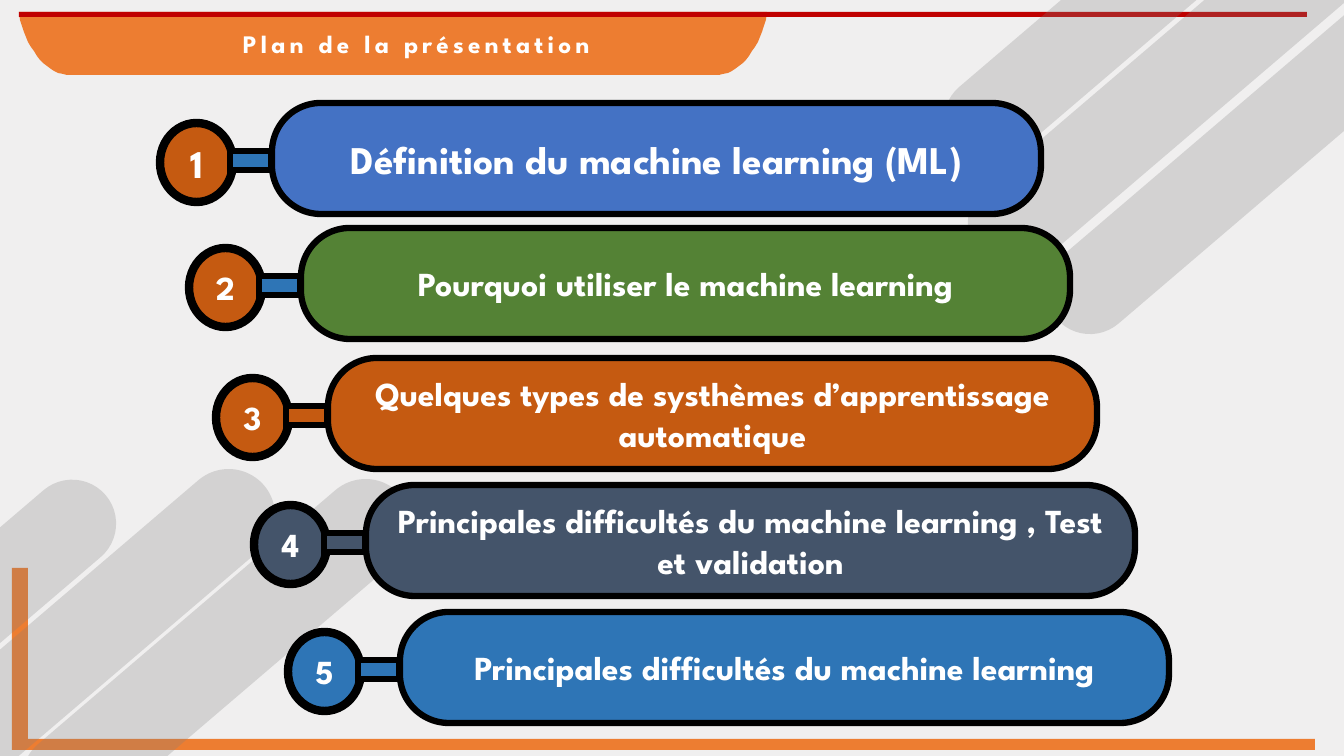
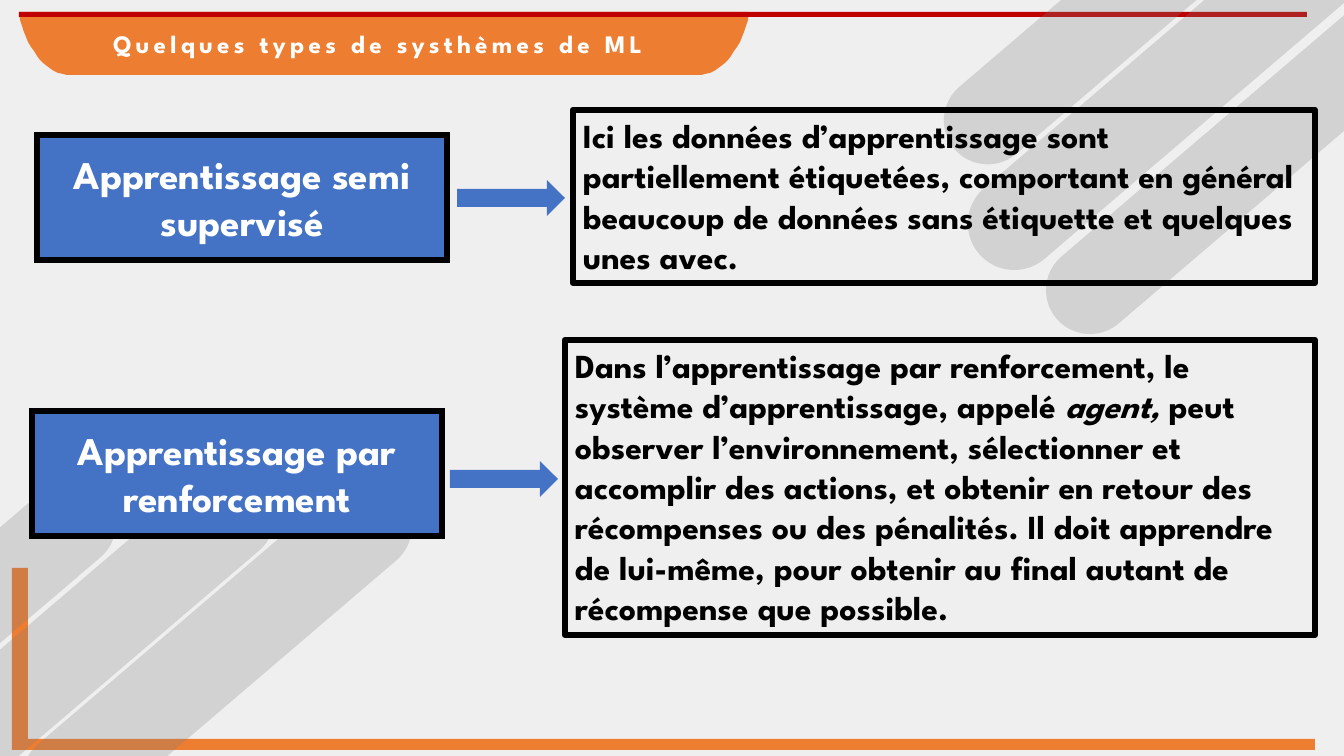
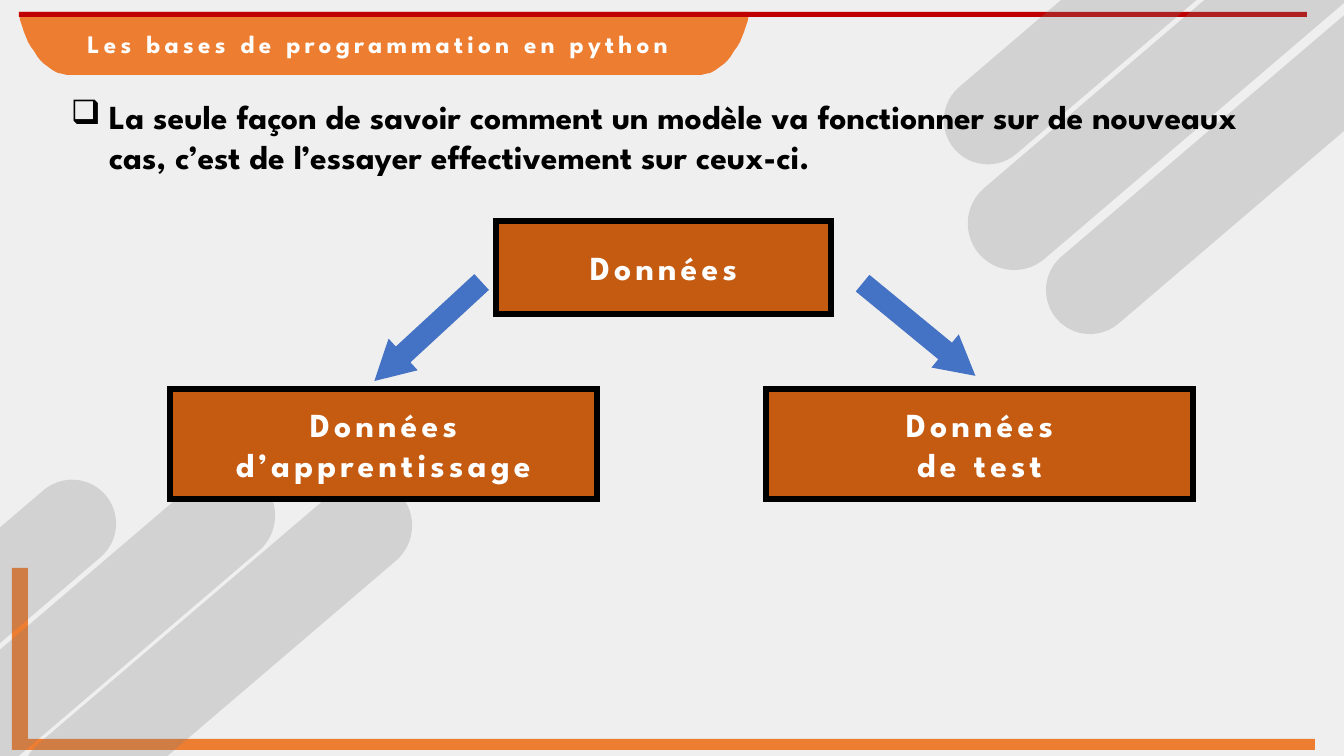
from dataclasses import dataclass

from lxml import etree
from pptx import Presentation
from pptx.dml.color import RGBColor
from pptx.enum.shapes import MSO_SHAPE
from pptx.enum.text import MSO_ANCHOR, PP_ALIGN
from pptx.oxml.ns import qn
from pptx.util import Pt

RECTANGLE = MSO_SHAPE.RECTANGLE
ROUNDED = MSO_SHAPE.ROUNDED_RECTANGLE
OVAL = MSO_SHAPE.OVAL
ARROW = MSO_SHAPE.RIGHT_ARROW
LEFT, CENTER = PP_ALIGN.LEFT, PP_ALIGN.CENTER
TOP, MIDDLE = MSO_ANCHOR.TOP, MSO_ANCHOR.MIDDLE
PIXEL = 914400 / 100.8


@dataclass(frozen=True)
class Theme:
    font: str = "League Spartan"
    background: str = "F0EFEF"
    orange: str = "ED7D31"
    red: str = "C00000"
    grey: str = "808080"
    blue: str = "4472C4"
    sky: str = "2E75B6"
    green: str = "548235"
    rust: str = "C55A11"
    slate: str = "44546A"
    black: str = "000000"
    white: str = "FFFFFF"
    title_size: int = 18
    body_size: int = 24
    large_size: int = 28
    spacing: int = 3
    outline: float = 4.5
    thick_outline: float = 6


theme = Theme()


def add_box(slide, kind, box, fill=None, outline=0, rotation=0, adjustments=()):
    shape = slide.shapes.add_shape(kind, *(round(length * PIXEL) for length in box))
    shape.shadow.inherit = False
    shape.rotation = rotation
    for index, value in enumerate(adjustments):
        shape.adjustments[index] = value
    if fill:
        shape.fill.solid()
        shape.fill.fore_color.rgb = RGBColor.from_string(fill)
    else:
        shape.fill.background()
    if outline:
        shape.line.color.rgb = RGBColor.from_string(theme.black)
        shape.line.width = Pt(outline)
        if fill:
            # Filled boxes have sharp corners, hollow ones soft corners
            etree.SubElement(shape.line._get_or_add_ln(), qn("a:miter"), lim="800000")
    else:
        shape.line.fill.background()
    return shape


def write(shape, lines, size, color=theme.white, alignment=CENTER, anchor=MIDDLE, spacing=0):
    """Fill a shape with paragraphs; text between asterisks is italic."""
    frame = shape.text_frame
    frame.word_wrap = True
    frame.vertical_anchor = anchor
    for number, line in enumerate(lines):
        paragraph = frame.add_paragraph() if number else frame.paragraphs[0]
        paragraph.alignment = alignment
        for position, piece in enumerate(line.split("*")):
            run = paragraph.add_run()
            run.text = piece
            run.font.name = theme.font
            run.font.size = Pt(size)
            run.font.bold = True
            run.font.italic = position % 2 == 1
            run.font.color.rgb = RGBColor.from_string(color)
            if spacing:
                run._r.get_or_add_rPr().set("spc", str(spacing * 100))


presentation = Presentation()
presentation.slide_width = round(1344 * PIXEL)
presentation.slide_height = round(756 * PIXEL)

# Shared decoration: title, right edge of the tab, width of the title
headers = [
    ("Plan de la présentation", 767, 769),
    ("Quelques types de systhèmes de ML", 749, 692),
    ("Les bases de programmation en python", 749, 692),
]
bands = [
    (-206, 566, 354, 88), (-162, 596, 484, 93), (-25, 606, 484, 93),
    (912, -10, 354, 88), (921, 50, 484, 93), (991, 97, 547, 88),
]
frame_corners = [(12, 568), (28, 568), (28, 739), (1315, 739), (1315, 750), (12, 750)]

# Tab corner as a cubic curve, measured from the tab's side
corner_controls = [(1, 20), (9, 52), (29, 75), (52, 75)]
corner = [(0, 12)]
for step in range(17):
    t = step / 16
    weights = [(1 - t) ** 3, 3 * t * (1 - t) ** 2, 3 * t ** 2 * (1 - t), t ** 3]
    corner.append(tuple(
        sum(weight * point[axis] for weight, point in zip(weights, corner_controls))
        for axis in (0, 1)
    ))

slides = []
for title, tab_right, title_width in headers:
    slide = presentation.slides.add_slide(presentation.slide_layouts[6])
    slides.append(slide)
    slide.background.fill.solid()
    slide.background.fill.fore_color.rgb = RGBColor.from_string(theme.background)

    tab = [(19 + x, y) for x, y in corner] + [(tab_right - x, y) for x, y in reversed(corner)]
    for outline_points in (tab, frame_corners):
        builder = slide.shapes.build_freeform(*outline_points[0], scale=PIXEL)
        builder.add_line_segments(outline_points[1:], close=True)
        shape = builder.convert_to_shape()
        shape.shadow.inherit = False
        shape.fill.solid()
        shape.fill.fore_color.rgb = RGBColor.from_string(theme.orange)
        shape.line.fill.background()
    add_box(slide, RECTANGLE, (19, 12, 1288, 5), theme.red)

    for band in bands:
        shape = add_box(slide, ROUNDED, band, theme.grey, rotation=319.5, adjustments=[0.5])
        color = shape._element.spPr.find(".//" + qn("a:srgbClr"))
        etree.SubElement(color, qn("a:alpha"), val="26000")

    title_box = slide.shapes.add_textbox(
        *(round(length * PIXEL) for length in (32, 23, title_width, 40)))
    write(title_box, [title], theme.title_size, anchor=TOP, spacing=theme.spacing)

plan_slide, types_slide, data_slide = slides

# Plan: numbered circle, link and pill on each row
plan_rows = [
    (160, 123, theme.rust, theme.sky, theme.blue, theme.large_size,
     "Définition du machine learning (ML)"),
    (189, 248, theme.rust, theme.sky, theme.green, theme.body_size,
     "Pourquoi utiliser le machine learning"),
    (216, 378, theme.rust, theme.rust, theme.rust, theme.body_size,
     "Quelques types de systhèmes d’apprentissage automatique"),
    (254, 505, theme.slate, theme.slate, theme.slate, theme.body_size,
     "Principales difficultés du machine learning , Test et validation"),
    (288, 632, theme.sky, theme.sky, theme.sky, theme.body_size,
     "Principales difficultés du machine learning"),
]
for number, (left, top, circle_fill, link_fill, pill_fill, size, text) in enumerate(plan_rows, 1):
    circle = add_box(plan_slide, OVAL, (left, top, 73, 79), circle_fill, theme.thick_outline)
    write(circle, [str(number)], size)
    add_box(plan_slide, RECTANGLE, (left + 70, top + 28, 41, 19), link_fill, theme.outline)
    pill = add_box(plan_slide, ROUNDED, (left + 112, top - 20, 769, 111), pill_fill,
                   theme.outline, adjustments=[0.44])
    write(pill, [text], size)

# Learning types: name, arrow and definition
learning_types = [
    ("Apprentissage semi supervisé", (37, 135, 410, 125), (457, 180, 108, 36),
     "Ici les données d’apprentissage sont partiellement étiquetées, comportant en général "
     "beaucoup de données sans étiquette et quelques unes avec.", (573, 110, 742, 173)),
    ("Apprentissage par renforcement", (32, 411, 410, 125), (450, 461, 108, 36),
     "Dans l’apprentissage par renforcement, le système d’apprentissage, appelé *agent, *peut "
     "observer l’environnement, sélectionner et accomplir des actions, et obtenir en retour des "
     "récompenses ou des pénalités. Il doit apprendre de lui-même, pour obtenir au final autant "
     "de récompense que possible.", (565, 340, 750, 295)),
]
for name, name_box, arrow_box, definition, definition_box in learning_types:
    shape = add_box(types_slide, RECTANGLE, name_box, theme.blue, theme.outline)
    write(shape, [name], theme.large_size)
    add_box(types_slide, ARROW, arrow_box, theme.blue)
    shape = add_box(types_slide, RECTANGLE, definition_box, outline=theme.outline)
    write(shape, [definition], theme.body_size, theme.black, LEFT, TOP)

# Data split: bulleted statement
statement = data_slide.shapes.add_textbox(
    *(round(length * PIXEL) for length in (61, 91, 1246, 92)))
write(statement, ["La seule façon de savoir comment un modèle va fonctionner sur de nouveaux cas, "
                  "c’est de l’essayer effectivement sur ceux-ci."],
      theme.body_size, theme.black, LEFT, TOP)
properties = statement.text_frame.paragraphs[0]._p.get_or_add_pPr()
indent = round(38 * PIXEL)
properties.set("marL", str(indent))
properties.set("indent", str(-indent))
etree.SubElement(properties, qn("a:buChar"), char="❑")

# Data split: tree of boxes and arrows
data_boxes = [
    (["Données"], (496, 221, 335, 93)),
    (["Données", "d’apprentissage"], (170, 389, 427, 110)),
    (["Données", "de test"], (766, 389, 427, 110)),
]
for lines, box in data_boxes:
    shape = add_box(data_slide, RECTANGLE, box, theme.rust, theme.outline)
    write(shape, lines, theme.body_size, spacing=theme.spacing)
for box, rotation in [((355, 310, 146, 43), 137.3), ((846, 308, 146, 43), 39.4)]:
    add_box(data_slide, ARROW, box, theme.blue, rotation=rotation, adjustments=[0.5, 0.91])

presentation.save("out.pptx")
